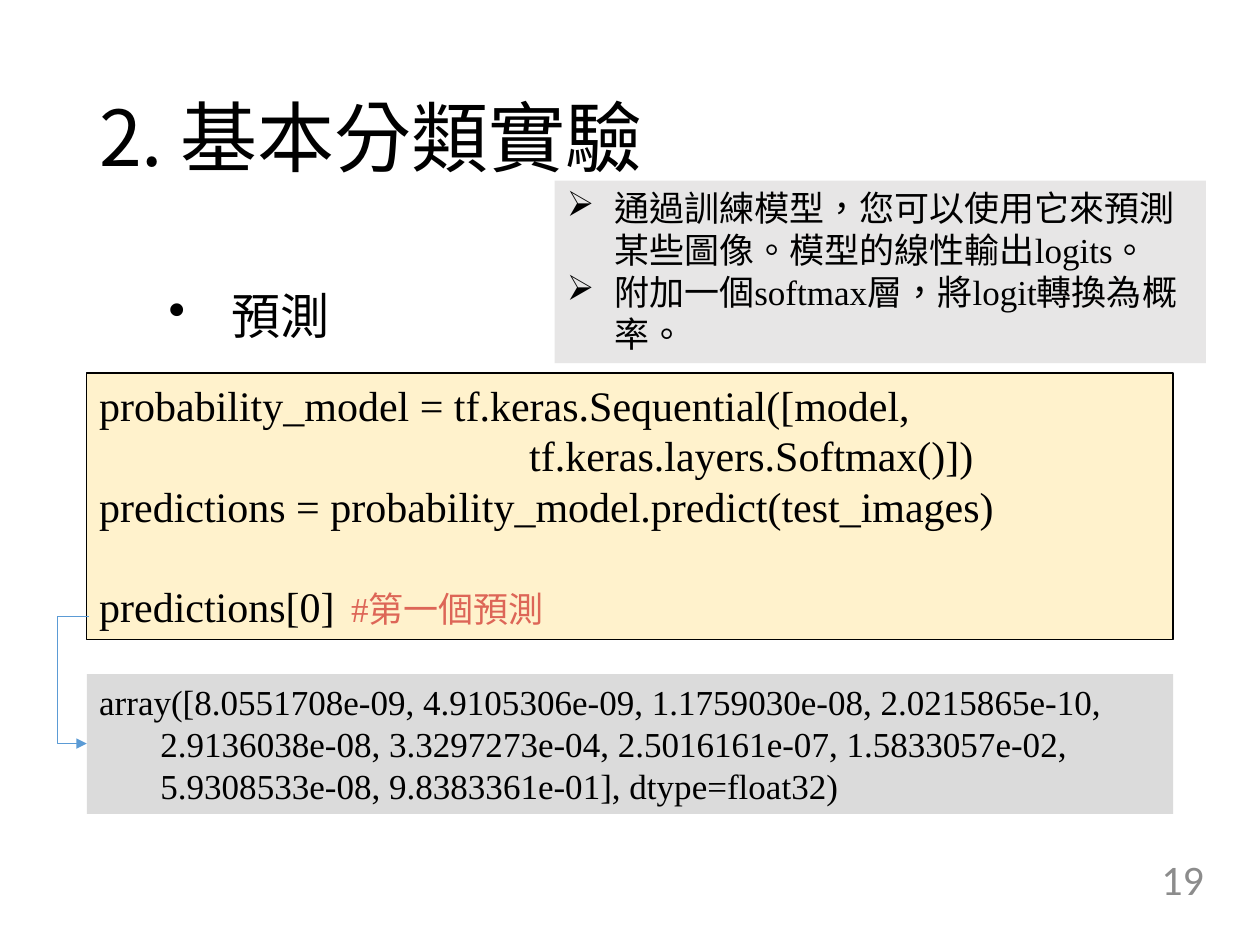
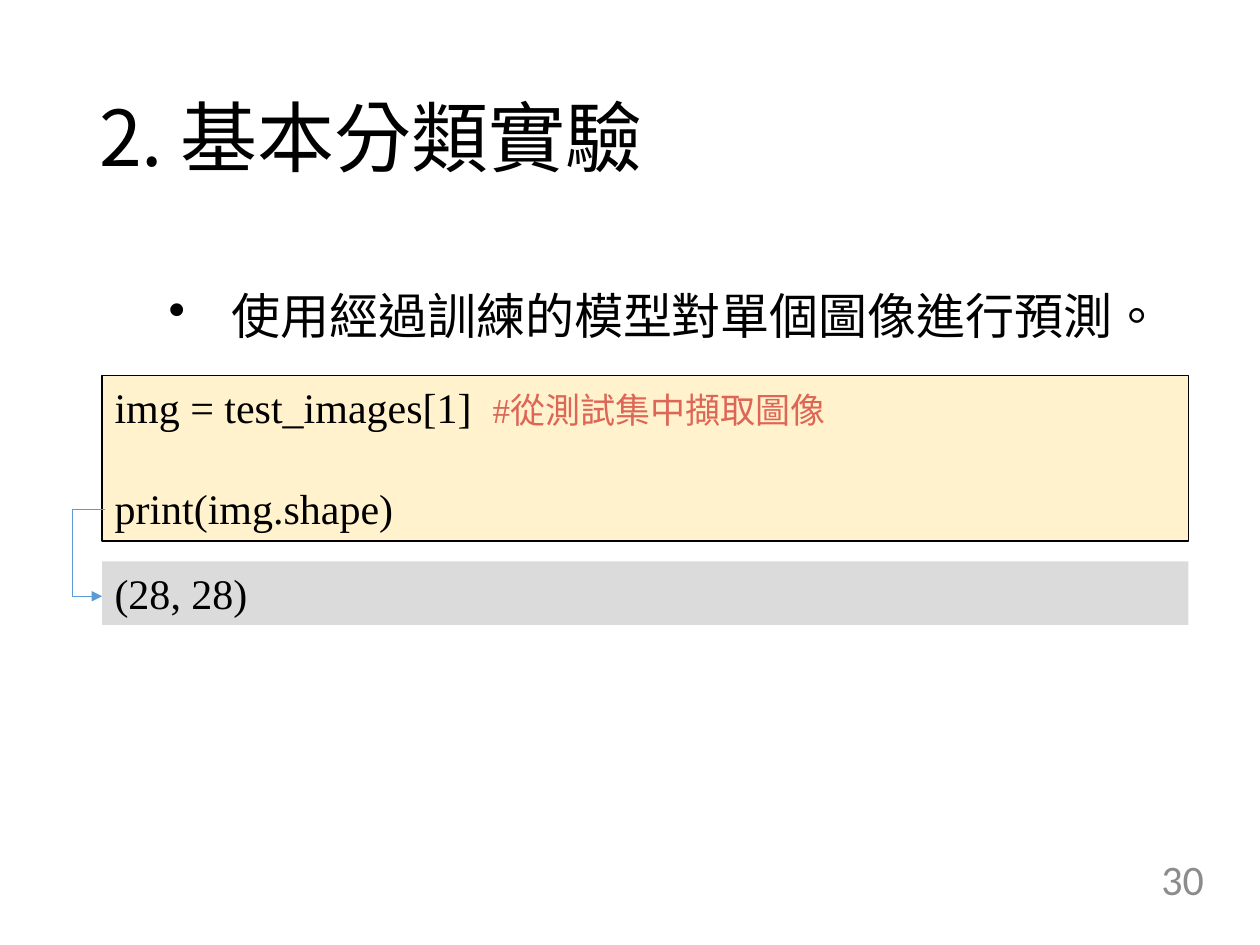
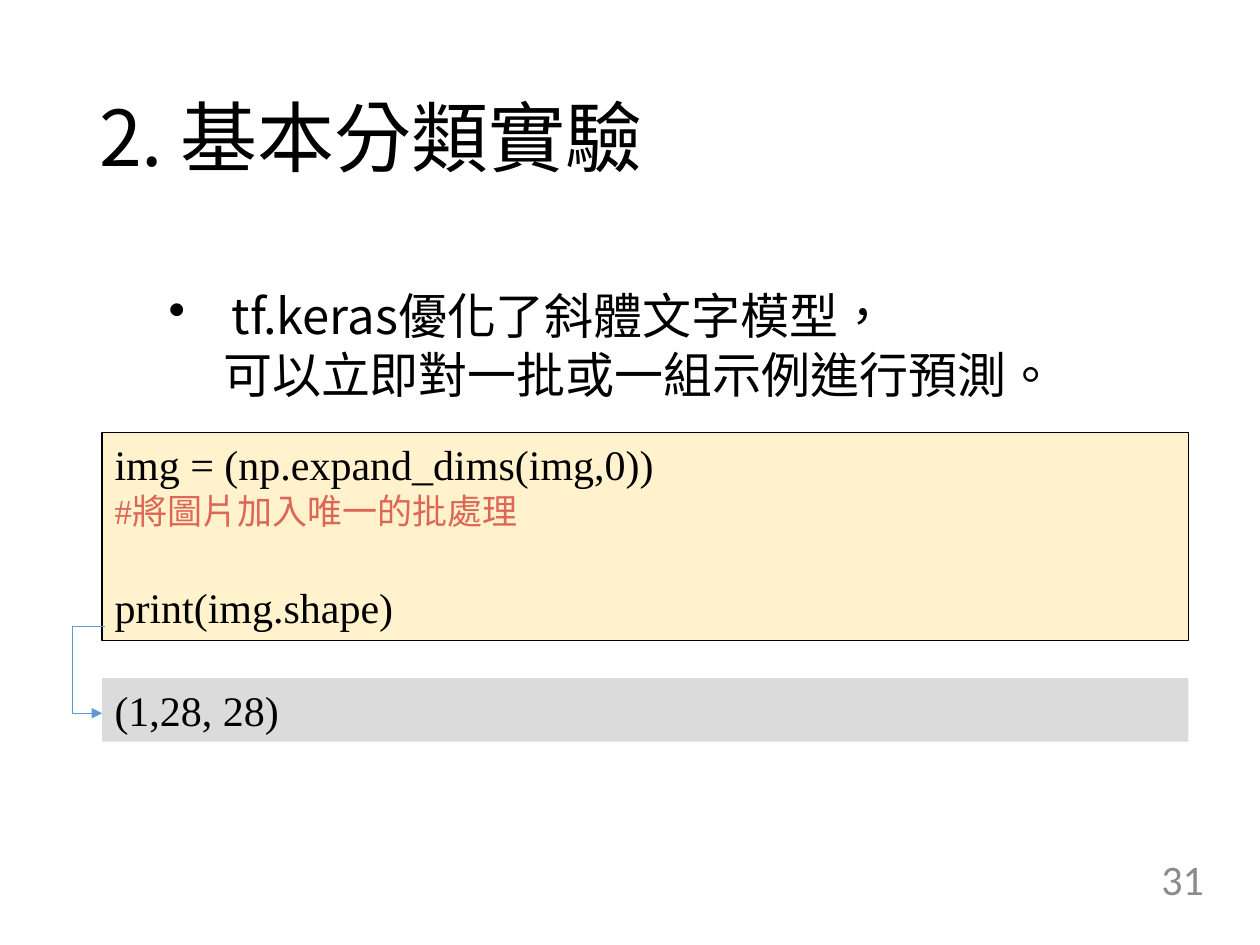
from lxml.etree import SubElement
from pptx import Presentation
from pptx.dml.color import RGBColor
from pptx.enum.lang import MSO_LANGUAGE_ID
from pptx.enum.shapes import MSO_CONNECTOR, MSO_SHAPE
from pptx.enum.text import MSO_ANCHOR, PP_ALIGN
from pptx.oxml.ns import qn
from pptx.util import Cm, Pt

COLORS = {
    "text": "000000",
    "comment": "DD6657",
    "code": "FFF2CC",
    "output": "DBDBDB",
    "notes": "E7E6E6",
    "arrow": "5B9BD5",
    "number": "8C8C8C",
}
SANS, SERIF, NUMBER_FONT = "Noto Sans CJK SC", "Times New Roman", "Calibri"
TITLE = "2. 基本分類實驗"
TITLE_BOX = (1.75, 1.02, 21.9, 3.68)
TOPIC_BOX = (3.15, 5.64, 19.69, 1.45)
NUMBER_BOX = (18.8, 17.2, 5.72, 1.02)
BLANK_LINE = 28.8


def add_run(paragraph, text, size=24, font=SERIF, color="text"):
    """Append formatted text to a paragraph."""
    run = paragraph.add_run()
    run.text = text
    run.font.size = Pt(size)
    run.font.color.rgb = RGBColor.from_string(COLORS[color])
    run.font.name = font
    run.font.language_id = MSO_LANGUAGE_ID.TRADITIONAL_CHINESE
    SubElement(run.font._element, qn("a:ea")).set("typeface", SANS)


def add_text(shape, text, *, align=PP_ALIGN.LEFT, bullet=None, margin=0, hanging=0,
             before=0, spacing=None, tab=None, comment=None, **run_format):
    """Write one paragraph, with an optional comment placed at a tab stop."""
    frame = shape.text_frame
    paragraph = frame.add_paragraph() if frame.text else frame.paragraphs[0]
    properties = paragraph._p.get_or_add_pPr()
    properties.set("marL", str(Cm(margin)))
    properties.set("indent", str(-Cm(hanging)))
    if bullet:
        SubElement(properties, qn("a:buChar")).set("char", bullet)
    if tab:
        stops = SubElement(properties, qn("a:tabLst"))
        stop = SubElement(stops, qn("a:tab"))
        stop.set("pos", str(Cm(tab)))
        stop.set("algn", "l")
    paragraph.alignment = align
    if before:
        paragraph.space_before = Pt(before)
    if spacing:
        paragraph.line_spacing = spacing
    add_run(paragraph, text + ("\t" if tab else ""), **run_format)
    if comment:
        add_run(paragraph, comment, size=20, color="comment")


def add_box(slide, box, fill=None, outline=False, anchor=MSO_ANCHOR.TOP):
    """Add a text box, or a filled rectangle when a fill is named."""
    position = [Cm(length) for length in box]
    if fill:
        shape = slide.shapes.add_shape(MSO_SHAPE.RECTANGLE, *position)
        shape.shadow.inherit = False
        shape.fill.solid()
        shape.fill.fore_color.rgb = RGBColor.from_string(COLORS[fill])
        if outline:
            shape.line.color.rgb = RGBColor.from_string(COLORS["text"])
            shape.line.width = Pt(0.75)
        else:
            shape.line.fill.background()
    else:
        shape = slide.shapes.add_textbox(*position)
    shape.text_frame.word_wrap = True
    shape.text_frame.vertical_anchor = anchor
    return shape


def add_frame(presentation, number, topic, continuation=None):
    """Add a slide with its title, bulleted topic and page number."""
    slide = presentation.slides.add_slide(presentation.slide_layouts[6])
    title = add_box(slide, TITLE_BOX, anchor=MSO_ANCHOR.MIDDLE)
    add_text(title, TITLE, size=44, font=SANS, spacing=0.9)
    heading = add_box(slide, TOPIC_BOX)
    add_text(heading, topic, size=28, font=SANS, bullet="•", margin=1.27, hanging=1.27)
    if continuation:
        add_text(heading, continuation, size=28, font=SANS, margin=1.1)
    page = add_box(slide, NUMBER_BOX, anchor=MSO_ANCHOR.MIDDLE)
    add_text(page, str(number), size=24, font=NUMBER_FONT, color="number",
             align=PP_ALIGN.RIGHT)
    return slide


def add_code(slide, box, lines):
    """Add the outlined code panel from (text, format) pairs."""
    panel = add_box(slide, box, fill="code", outline=True)
    for text, line_format in lines:
        add_text(panel, text, **line_format)


def add_output(slide, box, lines, size=24):
    """Add the grey panel that shows what the code returns."""
    panel = add_box(slide, box, fill="output")
    for text in lines:
        add_text(panel, text, size=size)


def add_result_arrow(slide, left, start, end, reach=0.64, inset=0.05):
    """Join code to output with an elbow that bulges left of the panels."""
    arrow = slide.shapes.add_connector(
        MSO_CONNECTOR.ELBOW, Cm(left + inset), Cm(start), Cm(left), Cm(end))
    arrow.line.color.rgb = RGBColor.from_string(COLORS["arrow"])
    arrow.line.width = Pt(0.5)
    SubElement(arrow.line._get_or_add_ln(), qn("a:tailEnd")).set("type", "triangle")
    properties = arrow._element.spPr
    SubElement(properties, qn("a:effectLst"))
    guides = properties.find(qn("a:prstGeom")).get_or_add_avLst()
    guide = SubElement(guides, qn("a:gd"))
    guide.set("name", "adj1")
    guide.set("fmla", f"val {round(reach / inset * 100000)}")


def add_notes_panel(slide, box, notes):
    """Add the grey panel of bulleted explanations."""
    panel = add_box(slide, box, fill="notes")
    for note in notes:
        add_text(panel, note, size=20, bullet="➢", margin=0.95, hanging=0.95)


def add_prediction_slide(presentation):
    """Show predictions for the whole test set."""
    slide = add_frame(presentation, 19, "預測")
    left, width = 1.75, 21.9
    add_code(slide, (left, 7.52, width, 5.38), [
        ("probability_model = tf.keras.Sequential([model,", {}),
        (" " * 41 + "tf.keras.layers.Softmax()])", {}),
        ("predictions = probability_model.predict(test_images)", {}),
        ("predictions[0]", {"before": BLANK_LINE, "tab": 5.39, "comment": "#第一個預測"}),
    ])
    add_output(slide, (left, 13.59, width, 2.82), [
        "array([8.0551708e-09, 4.9105306e-09, 1.1759030e-08, 2.0215865e-10,",
        "       2.9136038e-08, 3.3297273e-04, 2.5016161e-07, 1.5833057e-02,",
        "       5.9308533e-08, 9.8383361e-01], dtype=float32)",
    ], size=20)
    add_result_arrow(slide, left, 12.43, 14.99)
    add_notes_panel(slide, (11.18, 3.64, 13.13, 3.68), [
        "通過訓練模型，您可以使用它來預測某些圖像。模型的線性輸出logits。",
        "附加一個softmax層，將logit轉換為概率。",
    ])


def add_shape_slide(presentation, number, topic, code, code_top, code_height,
                    output, output_top, arrow_start, continuation=None):
    """Show code that prints the shape of one image."""
    slide = add_frame(presentation, number, topic, continuation)
    left, width = 2.06, 21.9
    lines = code + [("print(img.shape)", {"before": BLANK_LINE})]
    add_code(slide, (left, code_top, width, code_height), lines)
    add_output(slide, (left, output_top, width, 1.28), [output])
    add_result_arrow(slide, left, arrow_start, arrow_start + 1.75)


def main():
    """Build the three slides and save them."""
    presentation = Presentation()
    presentation.slide_width, presentation.slide_height = Cm(25.4), Cm(19.05)
    add_prediction_slide(presentation)
    add_shape_slide(
        presentation, 30, "使用經過訓練的模型對單個圖像進行預測。",
        code=[("img = test_images[1]", {"tab": 10.16, "comment": "#從測試集中擷取圖像"})],
        code_top=7.57, code_height=3.34,
        output="(28, 28)", output_top=11.32, arrow_start=10.27)
    add_shape_slide(
        presentation, 31, "tf.keras優化了斜體文字模型，",
        continuation="可以立即對一批或一組示例進行預測。",
        code=[("img = (np.expand_dims(img,0))", {}),
              ("#將圖片加入唯一的批處理", {"size": 20, "color": "comment"})],
        code_top=8.72, code_height=4.19,
        output="(1,28, 28)", output_top=13.67, arrow_start=12.63)
    presentation.save("out.pptx")


if __name__ == "__main__":
    main()
